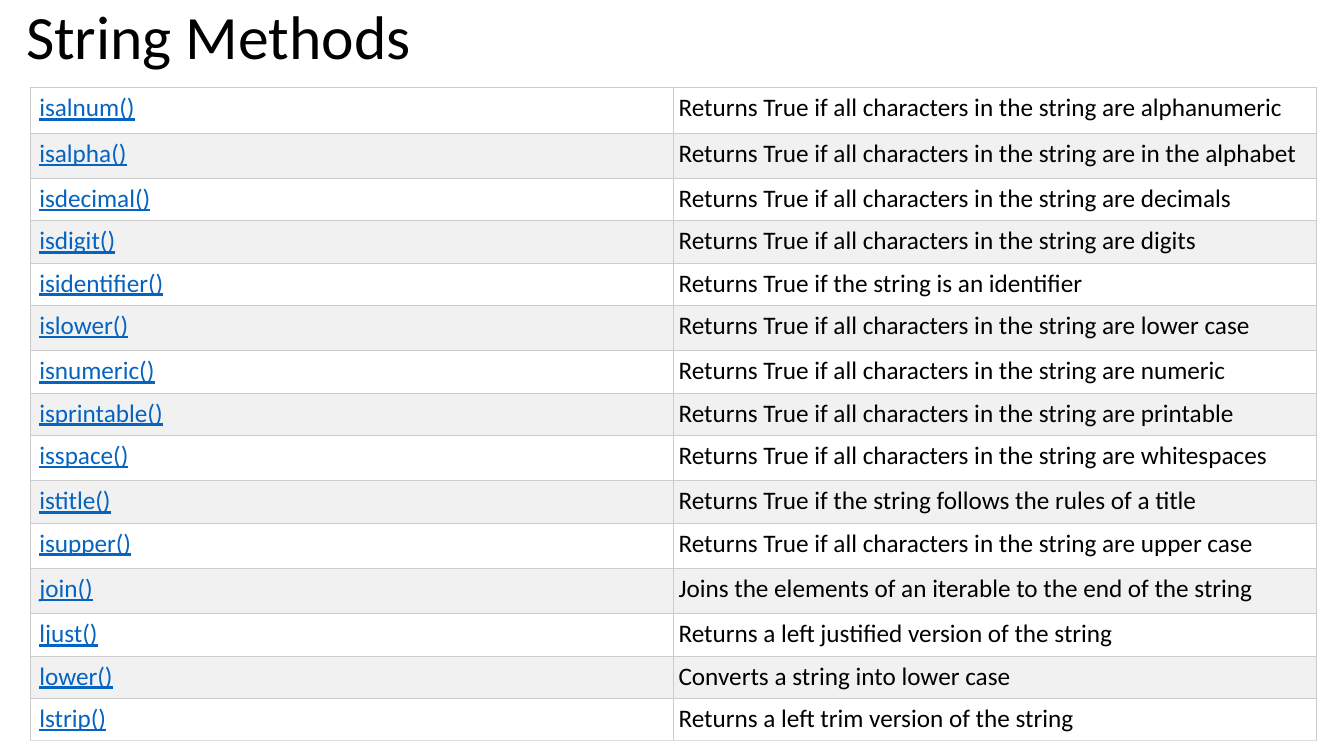
from dataclasses import dataclass
from lxml import etree
from pptx import Presentation
from pptx import util as u
from pptx.dml.color import RGBColor
from pptx.enum import text
from pptx.oxml import ns


@dataclass
class Theme:
    font: str = "Calibri"
    head: int = 44
    body: int = 18
    ink: str = "000000"
    link: str = "0563C1"
    fills: tuple = ("FFFFFF", "F1F1F1")
    rule: str = "CCCCCC"
    base: str = "DDDDDD"


theme = Theme()


def write(frame, words, size=theme.body, color=theme.ink, under=False, space=1.0):
    para = frame.paragraphs[0]
    para.line_spacing = space
    run = para.add_run()
    run.text = words
    run.font.name = theme.font
    run.font.size = u.Pt(size)
    run.font.color.rgb = RGBColor.from_string(color)
    run.font.underline = under


def border(cell, side, color):
    props = cell._tc.get_or_add_tcPr()
    line = etree.SubElement(props, ns.qn("a:ln" + side), w=str(u.Pt(0.75)))
    fill = etree.SubElement(line, ns.qn("a:solidFill"))
    etree.SubElement(fill, ns.qn("a:srgbClr"), val=color)


deck = Presentation()
deck.slide_width, deck.slide_height = u.Inches(13.33), u.Inches(7.5)
slide = deck.slides.add_slide(deck.slide_layouts[6])

# Title
title = slide.shapes.add_textbox(u.Inches(0.16), u.Inches(-0.33), u.Inches(11.5), u.Inches(1.45))
title.text_frame.word_wrap = True
title.text_frame.vertical_anchor = text.MSO_ANCHOR.MIDDLE
write(title.text_frame, "String Methods", size=theme.head, space=0.9)

# Methods, what each one does, and row height
tall, short = 0.45, 0.42
test = "Returns True if all characters in the string are "
methods = [
    ("isalnum()", test + "alphanumeric", tall),
    ("isalpha()", test + "in the alphabet", tall),
    ("isdecimal()", test + "decimals", short),
    ("isdigit()", test + "digits", short),
    ("isidentifier()", "Returns True if the string is an identifier", short),
    ("islower()", test + "lower case", tall),
    ("isnumeric()", test + "numeric", short),
    ("isprintable()", test + "printable", short),
    ("isspace()", test + "whitespaces", tall),
    ("istitle()", "Returns True if the string follows the rules of a title", short),
    ("isupper()", test + "upper case", tall),
    ("join()", "Joins the elements of an iterable to the end of the string", tall),
    ("ljust()", "Returns a left justified version of the string", short),
    ("lower()", "Converts a string into lower case", short),
    ("lstrip()", "Returns a left trim version of the string", short),
]

# Table
high = sum(row[2] for row in methods)
grid = slide.shapes.add_table(len(methods), 2, u.Inches(0.3), u.Inches(0.87),
                              u.Inches(12.76), u.Inches(high)).table
grid.first_row = grid.horz_banding = False

for r, (name, note, tall_by) in enumerate(methods):
    grid.rows[r].height = u.Inches(tall_by)
    last = r == len(methods) - 1
    for c, words in enumerate((name, note)):
        cell = grid.cell(r, c)
        cell.margin_left = u.Inches(0.05 if c else 0.09)
        cell.margin_right = cell.margin_top = cell.margin_bottom = u.Inches(0.05)
        for side in "LRTB":
            border(cell, side, theme.base if last and side == "B" else theme.rule)
        cell.fill.solid()
        cell.fill.fore_color.rgb = RGBColor.from_string(theme.fills[r % 2])
        write(cell.text_frame, words, color=theme.ink if c else theme.link, under=c == 0)

deck.save("out.pptx")
